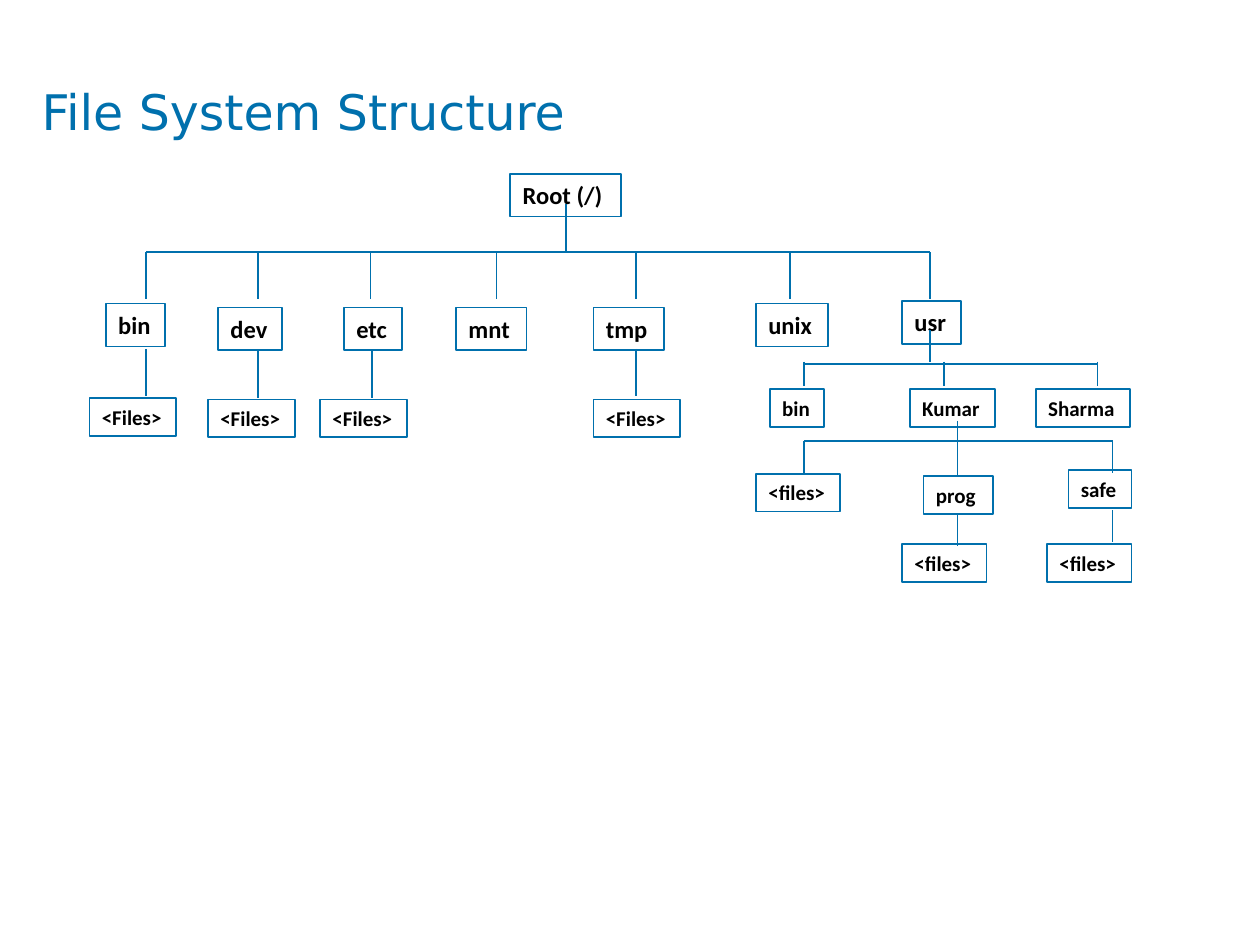
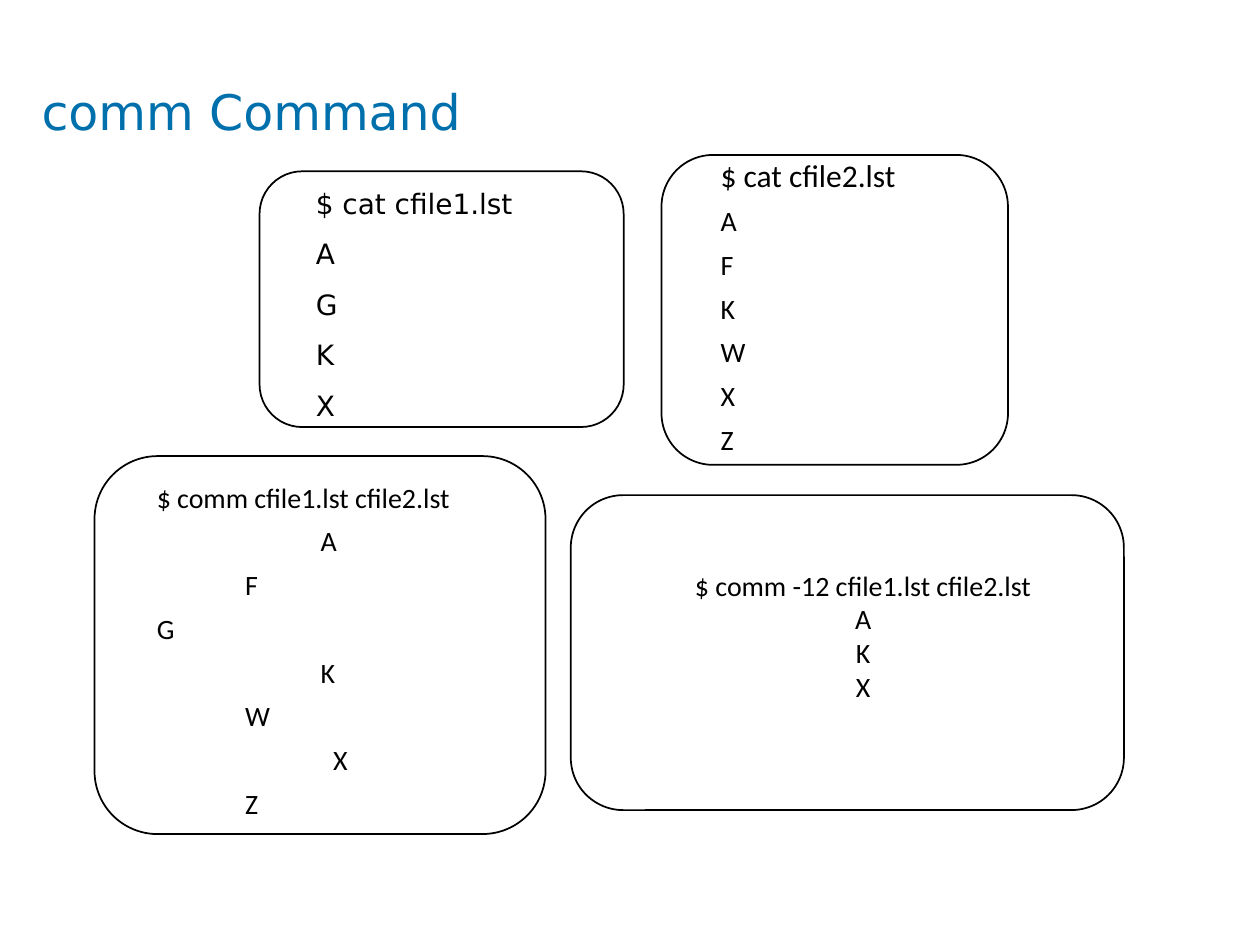
import pptx
import pptx.util
import pptx.dml.color
import pptx.enum.shapes
import pptx.enum.text
import pptx.oxml.ns
from lxml import etree

Inches, Pt = pptx.util.Inches, pptx.util.Pt
SHAPE = pptx.enum.shapes.MSO_SHAPE
ANCHOR = pptx.enum.text.MSO_ANCHOR
ALIGN = pptx.enum.text.PP_ALIGN

BLUE, BLACK, WHITE = "0070AD", "000000", "FFFFFF"
HEAD, BODY = "DejaVu Sans", "Calibri"

TREE_TITLE = "File System Structure"
BOX_HEIGHT = {14: 0.34, 12: 0.3}
BOXES = {
    14: [
        ("Root (/)", 4.05, 1.38, 0.88),
        ("bin", 0.84, 2.41, 0.47),
        ("dev", 1.73, 2.44, 0.51),
        ("etc", 2.73, 2.44, 0.46),
        ("mnt", 3.62, 2.44, 0.56),
        ("tmp", 4.71, 2.44, 0.56),
        ("unix", 6, 2.41, 0.57),
        ("usr", 7.16, 2.39, 0.47),
    ],
    12: [
        ("<Files>", 0.71, 3.16, 0.69),
        ("<Files>", 1.65, 3.17, 0.69),
        ("<Files>", 2.54, 3.17, 0.69),
        ("<Files>", 4.71, 3.17, 0.69),
        ("bin", 6.11, 3.09, 0.43),
        ("Kumar", 7.22, 3.09, 0.68),
        ("Sharma", 8.22, 3.09, 0.75),
        ("<files>", 6, 3.76, 0.67),
        ("prog", 7.33, 3.78, 0.55),
        ("safe", 8.48, 3.73, 0.5),
        ("<files>", 7.16, 4.32, 0.67),
        ("<files>", 8.31, 4.32, 0.67),
    ],
}
BRANCHES = [
    dict(y=2, top=2, bottom=2.37, drops=[1.16, 2.05, 2.94, 3.94, 5.05, 6.27, 7.38]),
    dict(y=2.89, top=2.87, bottom=3.06, drops=[6.38, 7.49, 8.71]),
    dict(y=3.5, top=3.5, bottom=3.75, drops=[6.38, 8.83]),
]
STEMS = [
    (4.49, 1.62, 2),
    (1.16, 2.77, 3.14),
    (2.05, 2.78, 3.16),
    (2.95, 2.78, 3.16),
    (5.05, 2.77, 3.14),
    (7.38, 2.62, 2.87),
    (7.6, 3.34, 3.78),
    (7.6, 4.08, 4.33),
    (8.83, 4.05, 4.3),
]

COMM_TITLE = "comm Command"
INDENT = 0.25
COLUMNS = [0, 0.7, 1.3, 1.4]
PANELS = [
    dict(at=(2.06, 1.36, 2.89, 2.03), font=HEAD, sizes=(16, 16), first=0.9, spacing=Pt(25),
         before=3.8, anchor=ANCHOR.TOP, align=ALIGN.JUSTIFY, bottom=0.05,
         lines=[("$ cat cfile1.lst", 0), ("A", 0), ("G", 0), ("K", 0), ("X", 0)]),
    dict(at=(0.75, 3.62, 3.58, 3), font=BODY, sizes=(16, 16), first=Pt(25), spacing=Pt(25),
         before=0, anchor=ANCHOR.MIDDLE, align=ALIGN.LEFT, bottom=0.05,
         lines=[("$ comm cfile1.lst cfile2.lst", 0), ("A", 2), ("F", 1), ("G", 0),
                ("K", 2), ("W", 1), ("X", 3), ("Z", 1)]),
    dict(at=(5.25, 1.23, 2.75, 2.46), font=BODY, sizes=(18, 16), first=Pt(17), spacing=Pt(25),
         before=0, anchor=ANCHOR.MIDDLE, align=ALIGN.LEFT, bottom=0.05,
         lines=[("$ cat cfile2.lst", 0), ("A", 0), ("F", 0), ("K", 0),
                ("W", 0), ("X", 0), ("Z", 0)]),
    dict(at=(4.53, 3.93, 4.39, 2.5), font=BODY, sizes=(16, 16), first=1.0, spacing=1.0,
         before=0, anchor=ANCHOR.MIDDLE, align=ALIGN.CENTER, bottom=0.32,
         lines=[("$ comm -12 cfile1.lst cfile2.lst", 0), ("A", 0), ("K", 0), ("X", 0)]),
]


def rgb(hex_color):
    return pptx.dml.color.RGBColor.from_string(hex_color)


def apply(target, values):
    for name, value in values.items():
        setattr(target, name, value)


def frame(sp, left, top, right, bottom, anchor=ANCHOR.TOP):
    tf = sp.text_frame
    apply(tf, dict(word_wrap=True, vertical_anchor=anchor,
                   margin_left=Inches(left), margin_top=Inches(top),
                   margin_right=Inches(right), margin_bottom=Inches(bottom)))
    return tf


def write(p, text, font, size, color, bold=False, **layout):
    apply(p, dict(alignment=ALIGN.LEFT) | layout)
    r = p.add_run()
    r.text = text
    apply(r.font, dict(name=font, size=Pt(size), bold=bold))
    r.font.color.rgb = rgb(color)


def add_outline(s, kind, at, color, fill=None):
    sp = s.shapes.add_shape(kind, *map(Inches, at))
    sp.shadow.inherit = False
    if fill:
        sp.fill.solid()
        sp.fill.fore_color.rgb = rgb(fill)
    else:
        sp.fill.background()
    sp.line.color.rgb = rgb(color)
    sp.line.width = Pt(1)
    return sp


def add_line(s, x1, y1, x2, y2):
    kind = pptx.enum.shapes.MSO_CONNECTOR.STRAIGHT
    c = s.shapes.add_connector(kind, *map(Inches, (x1, y1, x2, y2)))
    c.line.color.rgb = rgb(BLUE)
    c.line.width = Pt(1)
    etree.SubElement(c._element.spPr, pptx.oxml.ns.qn("a:effectLst"))


def add_slide(prs, title):
    s = prs.slides.add_slide(prs.slide_layouts[6])
    sp = s.shapes.add_textbox(*map(Inches, (0.33, 0.45, 9.33, 0.94)))
    tf = frame(sp, 0, 0.2, 0, 0)
    write(tf.paragraphs[0], title, HEAD, 28, BLUE)
    return s


def build_tree(prs):
    s = add_slide(prs, TREE_TITLE)
    for size, boxes in BOXES.items():
        for label, x, y, w in boxes:
            sp = add_outline(s, SHAPE.RECTANGLE, (x, y, w, BOX_HEIGHT[size]), BLUE)
            tf = frame(sp, 0.1, 0.05, 0, 0.05)
            write(tf.paragraphs[0], label, BODY, size, BLACK, bold=True)
    for b in BRANCHES:
        add_line(s, b["drops"][0], b["y"], b["drops"][-1], b["y"])
        for x in b["drops"]:
            add_line(s, x, b["top"], x, b["bottom"])
    for x, top, bottom in STEMS:
        add_line(s, x, top, x, bottom)


def build_panels(prs):
    s = add_slide(prs, COMM_TITLE)
    for panel in PANELS:
        sp = add_outline(s, SHAPE.ROUNDED_RECTANGLE, panel["at"], BLACK, WHITE)
        tf = frame(sp, 0.1, 0.05, 0.1, panel["bottom"], panel["anchor"])
        for i, (text, column) in enumerate(panel["lines"]):
            p = tf.add_paragraph() if i else tf.paragraphs[0]
            p._p.get_or_add_pPr().set("marL", str(Inches(INDENT + COLUMNS[column])))
            write(p, text, panel["font"], panel["sizes"][min(i, 1)], BLACK,
                  alignment=panel["align"],
                  line_spacing=panel["spacing"] if i else panel["first"],
                  space_before=Pt(panel["before"] if i else 0))


def main():
    prs = pptx.Presentation()
    apply(prs, dict(slide_width=Inches(10), slide_height=Inches(7.5)))
    build_tree(prs)
    build_panels(prs)
    prs.save("out.pptx")


if __name__ == "__main__":
    main()
